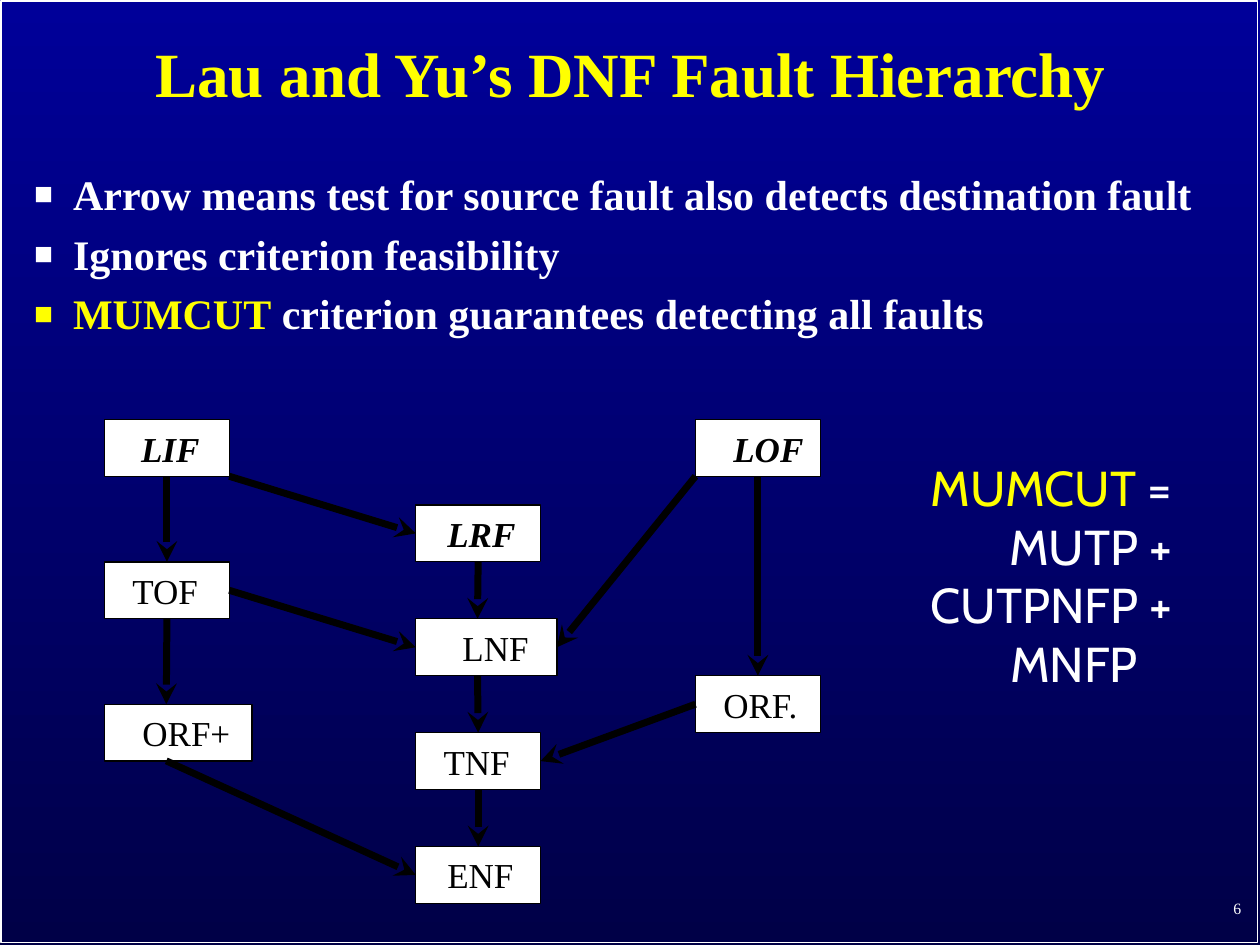
from lxml import etree
from pptx import Presentation
from pptx.dml.color import RGBColor
from pptx.enum import shapes, text
from pptx.oxml.ns import qn
from pptx.util import Inches, Pt

WHITE = RGBColor(0xFF, 0xFF, 0xFF)
YELLOW = RGBColor(0xFF, 0xFF, 0x00)
BLACK = RGBColor(0x00, 0x00, 0x00)
BLUE = RGBColor(0x00, 0x00, 0x99)
NAVY = RGBColor(0x00, 0x00, 0x47)
SERIF, SANS = "Times New Roman", "Cabin"
LEFT, RIGHT, CENTER = (text.PP_ALIGN.LEFT, text.PP_ALIGN.RIGHT,
                       text.PP_ALIGN.CENTER)
TOP_SIDE, LEFT_SIDE, BOTTOM_SIDE, RIGHT_SIDE = range(4)

# Fault: column, row, width, text inset, strong
FAULTS = {
    "LIF": (0, 0, 0.99, 0.29, True),
    "TOF": (0, 5, 0.99, 0.22, False),
    "ORF+": (0, 10, 1.17, 0.3, False),
    "LRF": (1, 3, 0.99, 0.25, True),
    "LNF": (1, 7, 1.12, 0.37, False),
    "TNF": (1, 11, 0.99, 0.22, False),
    "ENF": (1, 15, 0.99, 0.25, False),
    "LOF": (2, 0, 0.99, 0.3, True),
    "ORF.": (2, 9, 0.99, 0.22, False),
}
# Ends of each arrow: a side of the box, or a point (x, y) inside it
STEM_TOP, STEM_BOTTOM = (0.49, 0), (0.49, 0.45)
ARROWS = [
    ("LIF", BOTTOM_SIDE, "TOF", TOP_SIDE),
    ("TOF", BOTTOM_SIDE, "ORF+", STEM_TOP),
    ("LRF", BOTTOM_SIDE, "LNF", STEM_TOP),
    ("LNF", STEM_BOTTOM, "TNF", TOP_SIDE),
    ("TNF", BOTTOM_SIDE, "ENF", TOP_SIDE),
    ("LOF", BOTTOM_SIDE, "ORF.", TOP_SIDE),
    ("LIF", (0.99, 0.45), "LRF", LEFT_SIDE),
    ("TOF", RIGHT_SIDE, "LNF", LEFT_SIDE),
    ("ORF+", STEM_BOTTOM, "ENF", LEFT_SIDE),
    ("LOF", (0, 0.45), "LNF", RIGHT_SIDE),
    ("ORF.", LEFT_SIDE, "TNF", RIGHT_SIDE),
]


def write(paragraph, words, font=SERIF, size=20, color=WHITE, bold=False,
          italic=False, align=LEFT, spacing=None, before=None):
    paragraph.alignment = align
    paragraph.line_spacing = spacing
    if before is not None:
        paragraph.space_before = Pt(before)
    run = paragraph.add_run()
    run.text = words
    run.font.name, run.font.size = font, Pt(size)
    run.font.bold, run.font.italic = bold, italic
    run.font.color.rgb = color


def place(shape, box):
    shape.left, shape.top, shape.width, shape.height = map(Inches, box)


def next_paragraph(frame, index):
    return frame.paragraphs[0] if index == 0 else frame.add_paragraph()


def add_backdrop(slide, box):
    fill = slide.background.fill
    fill.gradient()
    fill.gradient_angle = 270
    for stop, color in zip(fill.gradient_stops, (BLUE, NAVY)):
        stop.color.rgb = color
    border = slide.shapes.add_shape(shapes.MSO_SHAPE.RECTANGLE,
                                    *map(Inches, box))
    border.shadow.inherit = False
    border.fill.background()
    border.line.color.rgb = WHITE
    border.line.width = Pt(1)


def add_title(slide, box):
    title = slide.shapes.title
    place(title, box)
    frame = title.text_frame
    frame.auto_size = text.MSO_AUTO_SIZE.NONE
    frame.vertical_anchor = text.MSO_ANCHOR.MIDDLE
    write(frame.paragraphs[0], "Lau and Yu’s DNF Fault Hierarchy", size=36,
          color=YELLOW, bold=True, align=CENTER, spacing=0.9)


def add_points(slide, box):
    body = slide.placeholders[1]
    place(body, box)
    frame = body.text_frame
    frame.auto_size = text.MSO_AUTO_SIZE.NONE
    points = [
        [("Arrow means test for source fault also detects destination fault",
          WHITE)],
        [("Ignores criterion feasibility", WHITE)],
        [("MUMCUT", YELLOW),
         (" criterion guarantees detecting all faults", WHITE)],
    ]
    for index, parts in enumerate(points):
        paragraph = next_paragraph(frame, index)
        for words, color in parts:
            write(paragraph, words, size=24, color=color, bold=True,
                  spacing=0.9, before=8.3)
        props = paragraph._p.get_or_add_pPr()
        props.set("marL", str(Inches(0.31)))
        props.set("indent", str(-Inches(0.31)))
        etree.SubElement(props, qn("a:buSzPct")).set("val", "75000")
        etree.SubElement(props, qn("a:buChar")).set("char", "■")


def add_fault(slide, name, box, inset, strong):
    fault = slide.shapes.add_shape(shapes.MSO_SHAPE.RECTANGLE,
                                   *map(Inches, box))
    fault.shadow.inherit = False
    fault.fill.solid()
    fault.fill.fore_color.rgb = WHITE
    fault.line.color.rgb = BLACK
    fault.line.width = Pt(0.75)
    frame = fault.text_frame
    frame.margin_left, frame.margin_right = Inches(inset), 0
    frame.vertical_anchor = text.MSO_ANCHOR.MIDDLE
    write(frame.paragraphs[0], name, color=BLACK, bold=strong, italic=strong)
    return fault


def add_arrow(slide, source, start, target, end):
    arrow = slide.shapes.add_connector(shapes.MSO_CONNECTOR.STRAIGHT,
                                       0, 0, 0, 0)
    if isinstance(start, tuple):
        arrow.begin_x = source.left + Inches(start[0])
        arrow.begin_y = source.top + Inches(start[1])
    else:
        arrow.begin_connect(source, start)
    if isinstance(end, tuple):
        arrow.end_x = target.left + Inches(end[0])
        arrow.end_y = target.top + Inches(end[1])
    else:
        arrow.end_connect(target, end)
    arrow.line.color.rgb = BLACK
    arrow.line.width = Pt(4)
    etree.SubElement(arrow.line._get_or_add_ln(),
                     qn("a:tailEnd")).set("type", "stealth")
    etree.SubElement(arrow._element.spPr, qn("a:effectLst"))


def add_hierarchy(slide, box):
    left, top, width, height = box
    columns = (left, left + 2.47, left + width - 0.99)
    row_step = height / 17  # each box is two rows high
    faults = {}
    for name, (column, row, fault_width, inset, strong) in FAULTS.items():
        fault_box = (columns[column], top + row * row_step,
                     fault_width, 2 * row_step)
        faults[name] = add_fault(slide, name, fault_box, inset, strong)
    for source, start, target, end in ARROWS:
        add_arrow(slide, faults[source], start, faults[target], end)


def add_formula(slide, box):
    frame = slide.shapes.add_textbox(*map(Inches, box)).text_frame
    frame.word_wrap = True
    lines = [[("MUMCUT", YELLOW), (" =", WHITE)], [("MUTP +", WHITE)],
             [("CUTPNFP +", WHITE)], [("MNFP", WHITE)]]
    for index, parts in enumerate(lines):
        last = index == len(lines) - 1
        paragraph = next_paragraph(frame, index)
        for words, color in parts:
            write(paragraph, words, font=SANS, size=28, color=color,
                  align=LEFT if last else RIGHT)
    # The last term lines up with the words above, not with their signs
    paragraph._p.get_or_add_pPr().set("marL", str(Inches(0.75)))


def add_page_number(slide, box):
    frame = slide.shapes.add_textbox(*map(Inches, box)).text_frame
    frame.word_wrap = True
    frame.vertical_anchor = text.MSO_ANCHOR.MIDDLE
    write(frame.paragraphs[0], "6", size=9, align=RIGHT)


def main():
    deck = Presentation()
    deck.slide_width, deck.slide_height = Inches(10), Inches(7.5)
    slide = deck.slides.add_slide(deck.slide_layouts[1])
    add_backdrop(slide, (0.01, 0.01, 9.97, 7.47))
    add_title(slide, (0.1, 0.11, 9.81, 1))
    add_points(slide, (0.17, 1.33, 9.58, 5.75))
    add_hierarchy(slide, (0.83, 3.33, 5.68, 3.84))
    add_formula(slide, (7.17, 3.58, 2.23, 1.99))
    add_page_number(slide, (7.87, 7.01, 2.08, 0.4))
    deck.save("out.pptx")


if __name__ == "__main__":
    main()
